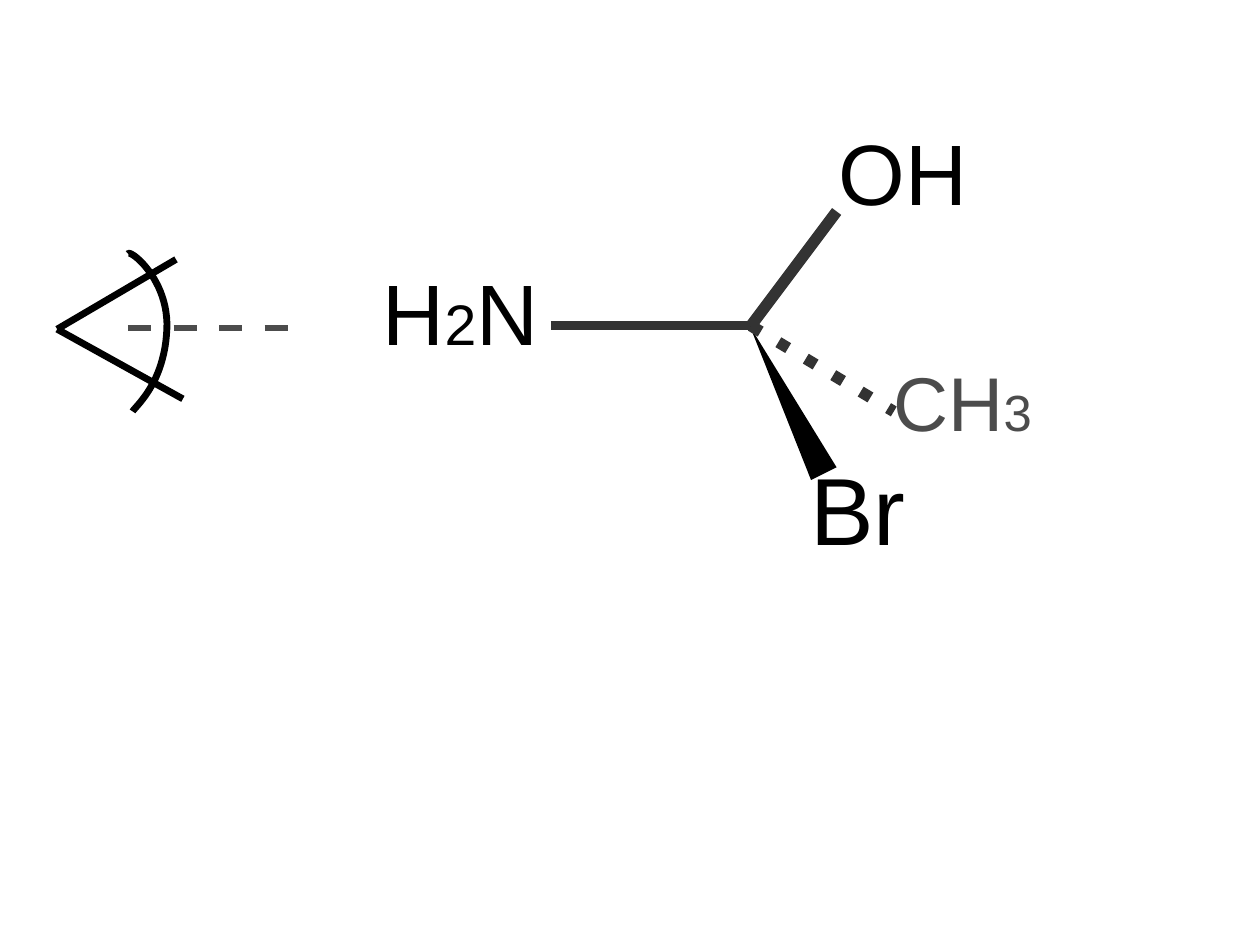
from lxml.etree import SubElement
from pptx import Presentation
from pptx.dml.color import RGBColor
from pptx.enum.shapes import MSO_CONNECTOR, MSO_SHAPE
from pptx.enum.text import MSO_AUTO_SIZE
from pptx.oxml.ns import qn
from pptx.util import Inches, Pt

COLORS = {"black": "000000", "bond": "333333", "far": "4C4C4C"}
CM_PER_INCH = 2.54
EYE_WIDTH = 4.31
CARBON = (6.57, 2.85)
EYE_CORNER = (0.5, 2.88)


def color(name):
    return RGBColor.from_string(COLORS[name])


def inches(*values):
    return [Inches(value) for value in values]


def add_run(paragraph, text, size, color_name="black", font="Arial"):
    run = paragraph.add_run()
    run.text = text
    run.font.name = font
    run.font.size = Pt(size)
    run.font.color.rgb = color(color_name)


def bezier_points(start, control_1, control_2, end, steps=24):
    """Return points along a cubic curve, without its start."""
    points = []
    for step in range(1, steps + 1):
        t = step / steps
        weights = ((1 - t) ** 3, 3 * t * (1 - t) ** 2, 3 * t * t * (1 - t), t ** 3)
        corners = (start, control_1, control_2, end)
        points.append([sum(weight * corner[axis] for weight, corner in zip(weights, corners))
                       for axis in (0, 1)])
    return points


class MoleculeSlide:
    def __init__(self, presentation):
        self.slide = presentation.slides.add_slide(presentation.slide_layouts[6])
        self.shapes = self.slide.shapes

    def line(self, start, end, width, color_name="black", dash=None):
        """Draw a straight line; dash is (mark, gap) in line widths."""
        connector = self.shapes.add_connector(MSO_CONNECTOR.STRAIGHT, *inches(*start, *end))
        connector.line.width = Pt(width)
        connector.line.color.rgb = color(color_name)
        properties = connector._element.spPr
        if dash:
            pattern = SubElement(properties.find(qn("a:ln")), qn("a:custDash"))
            mark, gap = (str(round(value * 100000)) for value in dash)
            SubElement(pattern, qn("a:ds"), d=mark, sp=gap)
        SubElement(properties, qn("a:effectLst"))

    def wedge(self, left, top, width, height, rotation):
        shape = self.shapes.add_shape(
            MSO_SHAPE.ISOSCELES_TRIANGLE, *inches(left, top, width, height))
        shape.rotation = rotation
        shape.shadow.inherit = False
        shape.fill.solid()
        shape.fill.fore_color.rgb = color("black")
        shape.line.fill.background()

    def curve(self, start, *segments):
        """Draw an open curve; a segment is two control points and an end."""
        builder = self.shapes.build_freeform(*inches(*start))
        for control_1, control_2, end in segments:
            points = bezier_points(start, control_1, control_2, end)
            builder.add_line_segments([inches(*point) for point in points], close=False)
            start = end
        shape = builder.convert_to_shape()
        shape.shadow.inherit = False
        shape.fill.background()
        shape.line.color.rgb = color("black")
        shape.line.width = Pt(EYE_WIDTH)

    def group_label(self, left, top, width, height, runs, color_name="black", wrap=True):
        """Write a chemical group; runs are (text, size) pairs."""
        box = self.shapes.add_textbox(*inches(left, top, width, height))
        frame = box.text_frame
        frame.word_wrap = wrap
        frame.auto_size = MSO_AUTO_SIZE.SHAPE_TO_FIT_TEXT
        for text, size in runs:
            add_run(frame.paragraphs[0], text, size, color_name)


def main():
    presentation = Presentation()
    presentation.slide_width = Inches(28 / CM_PER_INCH)
    presentation.slide_height = Inches(21 / CM_PER_INCH)
    molecule = MoleculeSlide(presentation)

    molecule.line((4.82, 2.85), (6.59, 2.85), 5.75, "bond")
    molecule.wedge(6.76, 2.78, 0.25, 1.44, rotation=333.4)
    molecule.line(CARBON, (7.82, 3.6), 7.2, "bond", dash=(1, 1.8))
    molecule.line(CARBON, (7.32, 1.85), 7.2, "bond")

    molecule.group_label(3.25, 2.22, 1.56, 1.21, [("H", 54), ("2", 36), ("N", 54)], wrap=False)
    molecule.group_label(7.72, 3.06, 1.6, 1.09, [("CH", 48), ("3", 32)], "far")
    molecule.group_label(6.99, 3.89, 1.12, 1.33, [("Br", 60)])
    molecule.group_label(7.24, 1, 1.5, 1.21, [("OH", 54)])

    for lid_end in ((1.54, 2.27), (1.6, 3.49)):
        molecule.line(EYE_CORNER, lid_end, EYE_WIDTH)
    molecule.curve((1.12, 2.22),
                   ((1.14, 2.18), (1.48, 2.45), (1.46, 2.88)),
                   ((1.44, 3.35), (1.19, 3.55), (1.16, 3.6)))
    molecule.line((1.12, 2.87), (2.62, 2.87), EYE_WIDTH, "far", dash=(3.36, 3.3))

    presentation.save("out.pptx")


if __name__ == "__main__":
    main()
